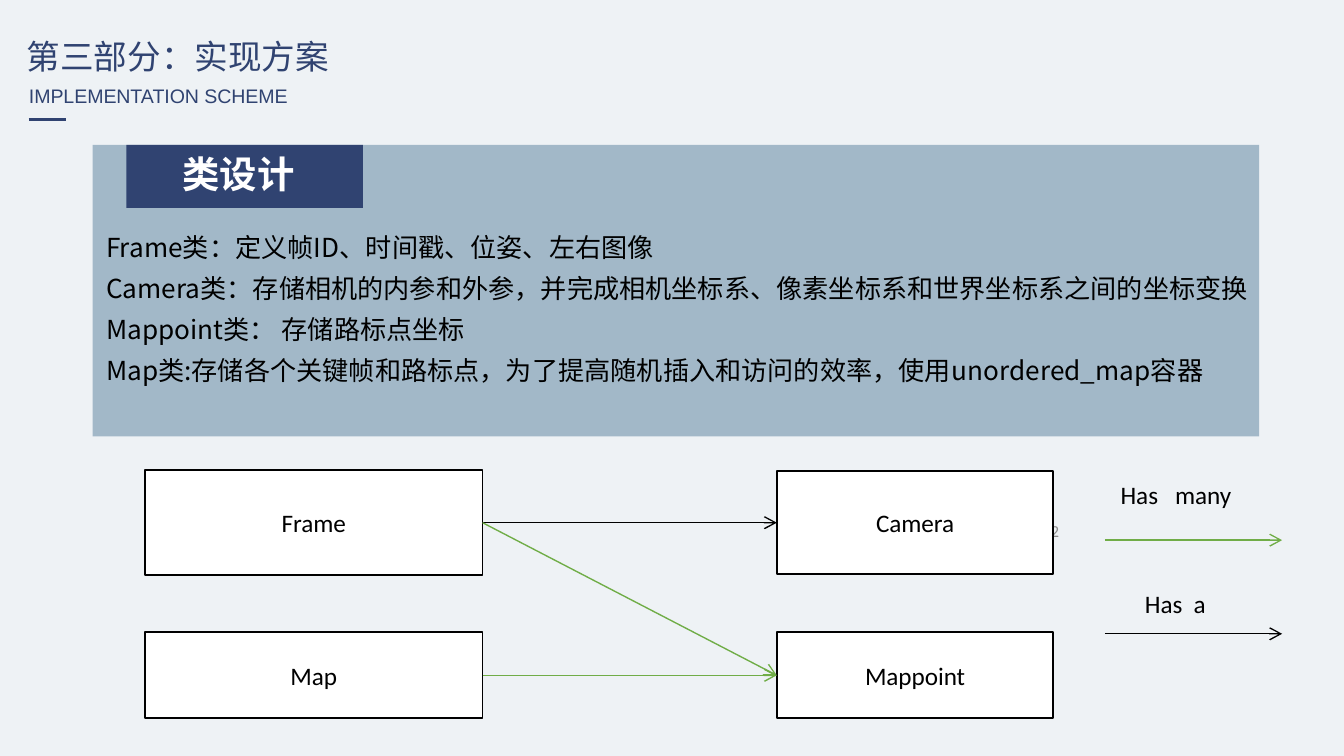
from lxml import etree
from pptx import Presentation
from pptx import util as u
from pptx.dml.color import RGBColor
from pptx.enum import shapes, text
from pptx.oxml.ns import qn

COLORS = {
    "background": "EEF2F5", "navy": "304371", "panel": "A2B8C8",
    "white": "FFFFFF", "black": "000000", "gray": "8C8C8C", "green": "70AD47",
}
CJK = "Noto Sans CJK SC"
LEFT, CENTER, RIGHT = text.PP_ALIGN.LEFT, text.PP_ALIGN.CENTER, text.PP_ALIGN.RIGHT
TOP, MIDDLE = text.MSO_ANCHOR.TOP, text.MSO_ANCHOR.MIDDLE
LEFT_SITE, RIGHT_SITE = 1, 3


def rgb(name):
    return RGBColor.from_string(COLORS[name])


def write(tf, lines, size=13.5, font="Calibri", color="black", bold=False,
          align=LEFT, anchor=TOP, before=0, wrap=True):
    """Fill a text frame, one paragraph for each line of the string."""
    tf.auto_size = text.MSO_AUTO_SIZE.NONE
    tf.word_wrap = wrap
    tf.vertical_anchor = anchor
    for i, line in enumerate(lines.split("\n")):
        p = tf.paragraphs[0] if i == 0 else tf.add_paragraph()
        p.alignment = align
        p.space_before = u.Pt(before if i else 0)
        if font == CJK:
            p.line_spacing = u.Pt(int(size * 1.2))
        r = p.add_run()
        r.text = line
        r.font.size, r.font.name, r.font.bold = u.Pt(size), font, bold
        r.font.color.rgb = rgb(color)
        ea = etree.SubElement(r._r.get_or_add_rPr(), qn("a:ea"))
        ea.set("typeface", font)


class Deck:
    def __init__(self, width, height):
        self.prs = Presentation()
        self.prs.slide_width, self.prs.slide_height = u.Cm(width), u.Cm(height)
        self.s = None

    def new_slide(self):
        self.s = self.prs.slides.add_slide(self.prs.slide_layouts[1])
        fill = self.s.background.fill
        fill.solid()
        fill.fore_color.rgb = rgb("background")

    def placeholder(self, idx, box, lines, **fmt):
        """Place a template placeholder on top of what is drawn so far."""
        sp = self.s.placeholders[idx]
        sp.left, sp.top, sp.width, sp.height = map(u.Cm, box)
        self.s.shapes._spTree.append(sp._element)
        write(sp.text_frame, lines, **fmt)
        for p in sp.text_frame.paragraphs:
            pPr = p._p.get_or_add_pPr()
            pPr.set("marL", "0")
            pPr.set("indent", "0")
            etree.SubElement(pPr, qn("a:buNone"))

    def label(self, box, lines, **fmt):
        sp = self.s.shapes.add_textbox(*map(u.Cm, box))
        write(sp.text_frame, lines, **fmt)

    def rect(self, box, fill, line=None):
        sp = self.s.shapes.add_shape(shapes.MSO_SHAPE.RECTANGLE, *map(u.Cm, box))
        sp.shadow.inherit = False
        sp.fill.solid()
        sp.fill.fore_color.rgb = rgb(fill)
        if line:
            sp.line.color.rgb = rgb(line)
            sp.line.width = u.Pt(1)
        else:
            sp.line.fill.background()
        return sp

    def class_box(self, name, box):
        sp = self.rect(box, "white", "black")
        write(sp.text_frame, name, align=CENTER, anchor=MIDDLE)
        return sp

    def line(self, x1, y1, x2, y2, color, width=0.75, arrow=False):
        cx = self.s.shapes.add_connector(
            shapes.MSO_CONNECTOR.STRAIGHT, *map(u.Cm, (x1, y1, x2, y2)))
        cx.line.color.rgb = rgb(color)
        cx.line.width = u.Pt(width)
        if arrow:
            etree.SubElement(cx.line._get_or_add_ln(), qn("a:tailEnd")).set("type", "arrow")
        etree.SubElement(cx._element.spPr, qn("a:effectLst"))
        return cx

    def relation(self, source, target, color):
        """Arrow from the right side of one class to the left side of another."""
        cx = self.line(0, 0, 1, 1, color, arrow=True)
        cx.begin_connect(source, RIGHT_SITE)
        cx.end_connect(target, LEFT_SITE)


def main():
    deck = Deck(25.4, 14.29)
    deck.new_slide()

    deck.placeholder(0, (0.25, 0.58, 7, 1.02), "第三部分：实现方案",
                     size=18, font=CJK, color="navy")
    deck.line(0.54, 2.26, 1.24, 2.26, "navy", width=1.5)
    deck.label((0.25, 1.47, 5.49, 0.71), "IMPLEMENTATION SCHEME",
               size=10.5, font="Arial", color="navy", align=CENTER, wrap=False)

    deck.rect((1.75, 2.74, 22.05, 5.51), "panel")
    deck.rect((2.39, 2.74, 4.47, 1.19), "navy")
    deck.label((3.2, 2.74, 5.16, 1.96), "类设计",
               size=20, font=CJK, color="white", bold=True)
    deck.placeholder(1, (1.75, 4.27, 22.2, 3.28), "\n".join([
        "Frame类：定义帧ID、时间戳、位姿、左右图像",
        "Camera类：存储相机的内参和外参，并完成相机坐标系、像素坐标系和世界坐标系之间的坐标变换",
        "Mappoint类： 存储路标点坐标",
        "Map类:存储各个关键帧和路标点，为了提高随机插入和访问的效率，使用unordered_map容器",
    ]), size=14, font=CJK, before=6)

    deck.label((14.55, 9.65, 5.72, 0.76), "12",
               size=9, color="gray", align=RIGHT, anchor=MIDDLE)

    boxes = {
        "Frame": (2.74, 8.89, 6.38, 1.98), "Camera": (14.68, 8.91, 5.23, 1.94),
        "Map": (2.74, 11.95, 6.38, 1.63), "Mappoint": (14.68, 11.95, 5.23, 1.63),
    }
    classes = {name: deck.class_box(name, box) for name, box in boxes.items()}
    for source, target, color in [("Frame", "Camera", "black"),
                                  ("Map", "Mappoint", "green"),
                                  ("Frame", "Mappoint", "green")]:
        deck.relation(classes[source], classes[target], color)

    for y, color in [(11.98, "black"), (10.21, "green")]:
        deck.line(20.88, y, 24.23, y, color, arrow=True)
    deck.label((20.93, 8.94, 3.84, 1.8), "Has   many")
    deck.label((21.39, 11, 3.35, 1.02), "Has  a")

    deck.prs.save("out.pptx")


if __name__ == "__main__":
    main()
